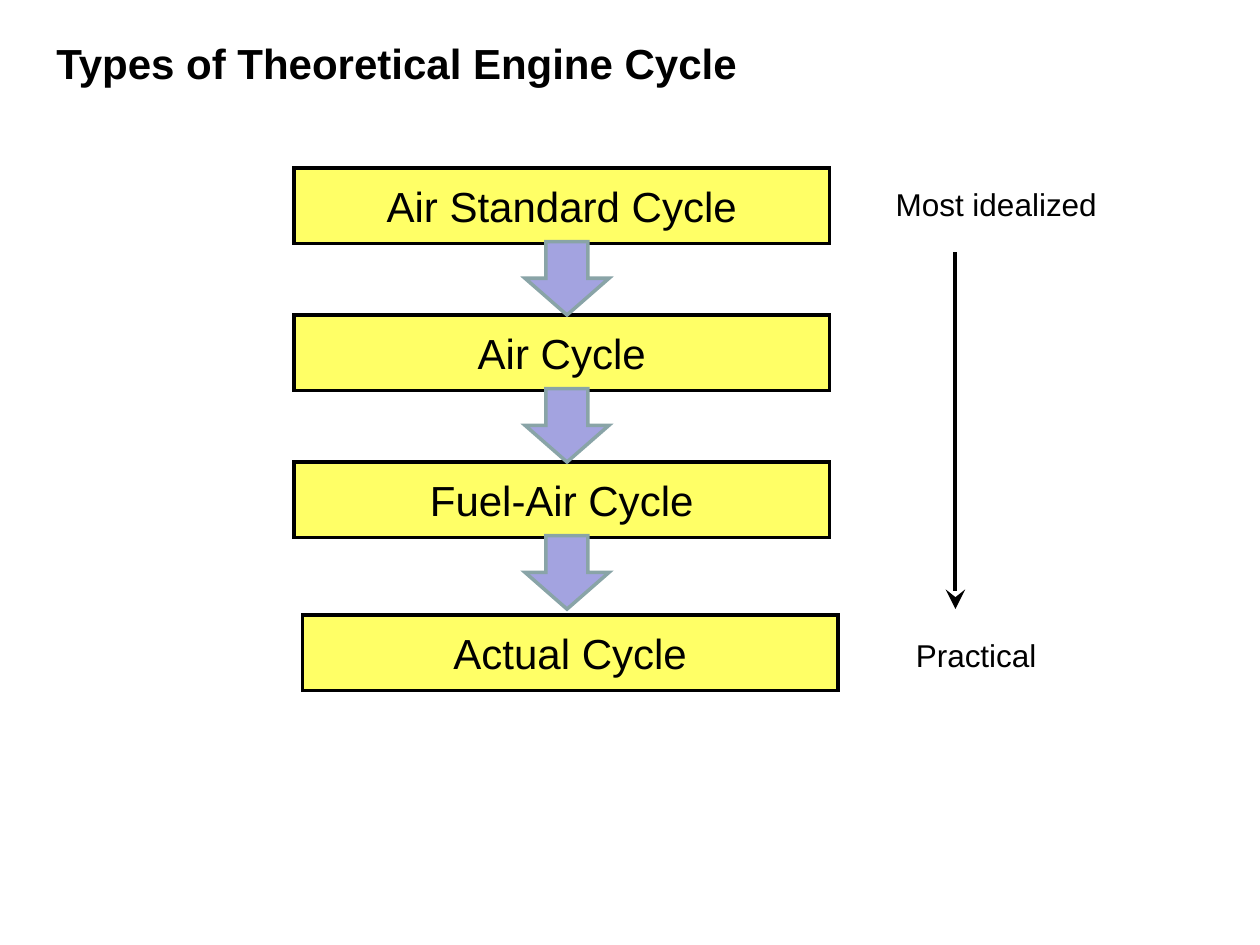
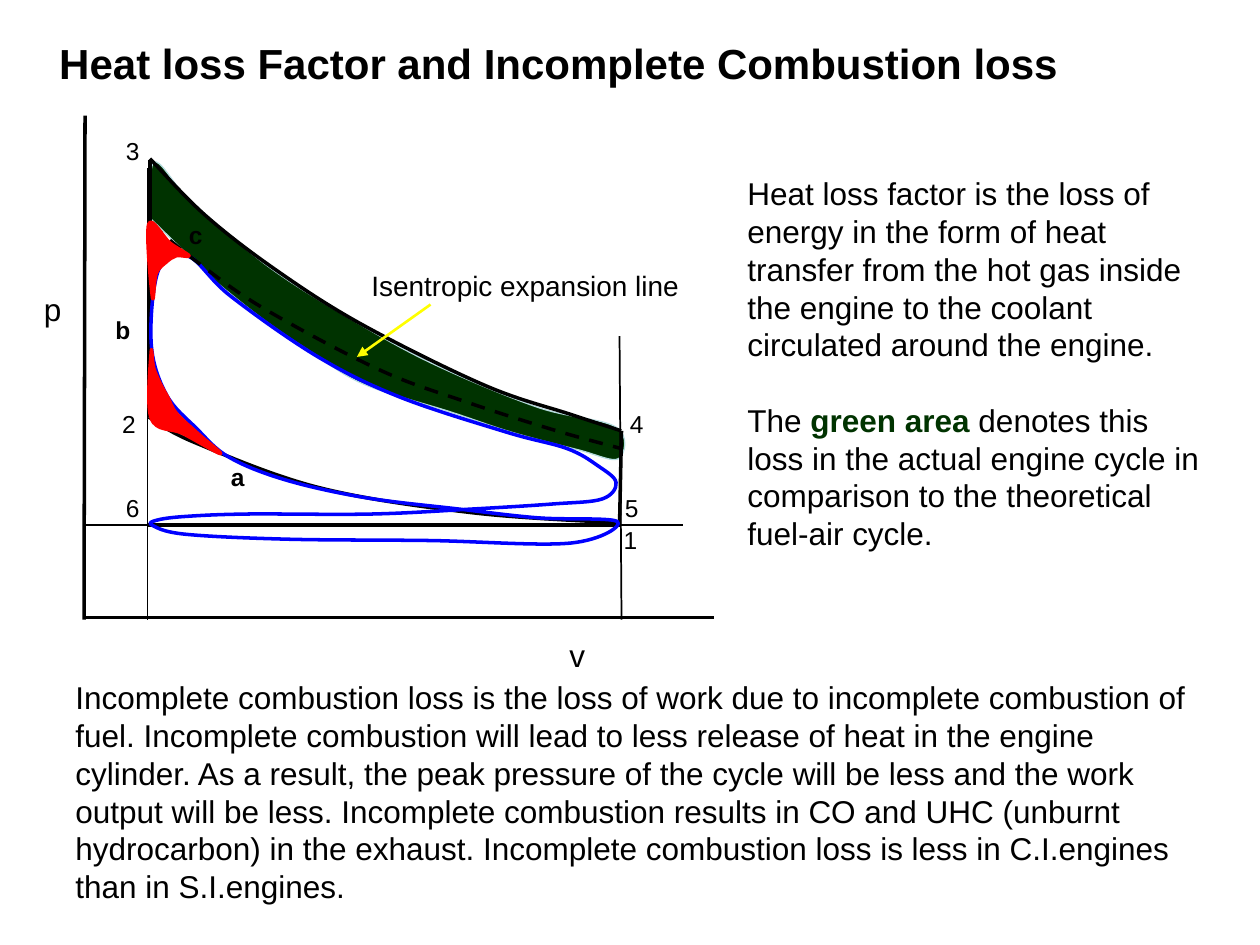
from lxml import etree
from pptx import Presentation
from pptx.dml.color import RGBColor
from pptx.enum.dml import MSO_LINE
from pptx.enum.shapes import MSO_CONNECTOR, MSO_SHAPE
from pptx.enum.text import MSO_ANCHOR, MSO_AUTO_SIZE, PP_ALIGN
from pptx.oxml.ns import qn
from pptx.util import Inches, Pt

RECT, DOWN_ARROW = MSO_SHAPE.RECTANGLE, MSO_SHAPE.DOWN_ARROW
STRAIGHT = MSO_CONNECTOR.STRAIGHT
LEFT, CENTER = PP_ALIGN.LEFT, PP_ALIGN.CENTER
TOP, MIDDLE = MSO_ANCHOR.TOP, MSO_ANCHOR.MIDDLE
NO_AUTOFIT = MSO_AUTO_SIZE.NONE
DASH = MSO_LINE.DASH

COLS, ROWS = 100, 75
TITLE_ONLY = 5
FONT = "Arial"
BLACK, YELLOW, BOX_YELLOW = "000000", "FFFF00", "FFFF66"
GREEN, PALE_GREEN = "003300", "B6DCDF"
LILAC, GREY_TEAL = "A3A3E0", "89A4A7"
RED, BLUE = "FF0000", "0000FF"
BODY_INSETS = (0.1, 0.05, 0.1, 0.05)
BOX_INSETS = (0.1, 0.1, 0.1, 0.1)
LABEL_INSETS = (0, 0, 0.05, 0)


def rgb(code):
    return RGBColor.from_string(code)


def bend(sp, closed):
    """Turn a freeform's straight segments into smooth Bezier ones."""
    pts = [(int(pt.get("x")), int(pt.get("y")))
           for pt in sp._element.iter(qn("a:pt"))]
    before, after = (pts[-2], pts[1]) if closed else (pts[0], pts[-1])
    padded = [before, *pts, after]
    segments = list(sp._element.iter(qn("a:lnTo")))
    for seg, a, b, c, d in zip(segments, padded, padded[1:], padded[2:],
                               padded[3:]):
        leave = [q + (r - p) / 6 for p, q, r in zip(a, b, c)]
        arrive = [q - (r - p) / 6 for p, q, r in zip(b, c, d)]
        cubic = etree.Element(qn("a:cubicBezTo"))
        for x, y in (leave, arrive, c):
            etree.SubElement(cubic, qn("a:pt"), x=str(round(x)),
                             y=str(round(y)))
        seg.getparent().replace(seg, cubic)


def write_text(tf, paragraphs, size=18, bold=False, color=BLACK, align=LEFT,
               anchor=TOP, insets=BODY_INSETS, wrap=False, gap=0):
    """Fill a frame; a paragraph is a string or a list of (text, format) runs."""
    tf.auto_size = NO_AUTOFIT
    tf.word_wrap = wrap
    tf.vertical_anchor = anchor
    (tf.margin_left, tf.margin_top,
     tf.margin_right, tf.margin_bottom) = map(Inches, insets)
    if isinstance(paragraphs, str):
        paragraphs = [paragraphs]
    for i, runs in enumerate(paragraphs):
        p = tf.add_paragraph() if i else tf.paragraphs[0]
        p.alignment = align
        p.space_before = Pt(gap if i else 0)
        for text, style in [(runs, {})] if isinstance(runs, str) else runs:
            r = p.add_run()
            r.text = text
            r.font.name = FONT
            r.font.size = Pt(size)
            r.font.bold = style.get("bold", bold)
            r.font.color.rgb = rgb(style.get("color", color))


class Deck:
    """Holds the style and the current slide; lengths are columns and rows."""

    def __init__(self, prs):
        self.prs = prs
        self.col = prs.slide_width / COLS
        self.row = prs.slide_height / ROWS

    def place(self, *values):
        """Turn alternating columns and rows into lengths."""
        units = (self.col, self.row)
        return [round(v * units[i % 2]) for i, v in enumerate(values)]

    def slide(self, title, left, width):
        self.s = self.prs.slides.add_slide(self.prs.slide_layouts[TITLE_ONLY])
        sp = self.s.shapes.title
        sp.left, sp.top, sp.width, sp.height = self.place(left, 2.5, width, 5)
        write_text(sp.text_frame, title, size=24, bold=True)

    def text(self, box, paragraphs, **style):
        sp = self.s.shapes.add_textbox(*self.place(*box))
        write_text(sp.text_frame, paragraphs, **style)

    def paint(self, sp, fill, line, weight):
        sp.shadow.inherit = False
        if fill:
            sp.fill.solid()
            sp.fill.fore_color.rgb = rgb(fill)
        else:
            sp.fill.background()
        sp.line.color.rgb = rgb(line)
        sp.line.width = Pt(weight)

    def shape(self, kind, box, fill, line=BLACK, text=None):
        sp = self.s.shapes.add_shape(kind, *self.place(*box))
        self.paint(sp, fill, line, 2)
        ln = sp.line._get_or_add_ln()
        etree.SubElement(ln, qn("a:miter"), lim="800000")
        if text:
            write_text(sp.text_frame, text, size=24, align=CENTER,
                       anchor=MIDDLE, insets=BOX_INSETS, wrap=True)

    def line(self, *ends, color=BLACK, weight=2, head=None, head_size="med"):
        sp = self.s.shapes.add_connector(STRAIGHT, *self.place(*ends))
        sp.line.color.rgb = rgb(color)
        sp.line.width = Pt(weight)
        if head:
            ln = sp.line._get_or_add_ln()
            etree.SubElement(ln, qn("a:tailEnd"), type=head, w=head_size,
                             len=head_size)
        etree.SubElement(sp._element.spPr, qn("a:effectLst"))

    def curve(self, knots, fill=None, line=BLACK, weight=2, closed=False,
              dash=None):
        points = [self.place(*knot) for knot in knots]
        if closed:
            points.append(points[0])
        builder = self.s.shapes.build_freeform(*points[0], scale=1.0)
        builder.add_line_segments(points[1:], close=closed)
        sp = builder.convert_to_shape()
        bend(sp, closed)
        self.paint(sp, fill, line, weight)
        if dash:
            sp.line.dash_style = dash


def cycle_types(deck):
    deck.slide("Types of Theoretical Engine Cycle", 3.47, 58)
    first, pitch = 13.33, 11.67
    cycles = ["Air Standard Cycle", "Air Cycle", "Fuel-Air Cycle"]
    for i, cycle in enumerate(cycles):
        deck.shape(RECT, (23.33, first + i * pitch, 42.5, 6), BOX_YELLOW,
                   text=cycle)
    deck.shape(RECT, (24, 48.8, 42.5, 6), BOX_YELLOW, text="Actual Cycle")
    for i in range(len(cycles)):
        deck.shape(DOWN_ARROW, (41.67, 19.17 + i * pitch, 6.67, 5.83), LILAC,
                   GREY_TEAL)
    deck.text((70.1, 14.2, 18, 4), "Most idealized")
    deck.text((71.7, 50, 11.6, 4), "Practical")
    deck.line(75.83, 20, 75.83, 48.33, weight=2.25, head="stealth",
              head_size="lg")


HEAT_LOSS = [
    (11.8, 17.2), (15.4, 20.7), (17.3, 22.5), (21.1, 25.5), (24.8, 28),
    (28.9, 30.5), (35.8, 32.7), (40.6, 34.3), (45.9, 35.7), (49.1, 36.4),
    (48.9, 33.9), (42.6, 32.3), (34, 28.7), (26.8, 24.7), (21.5, 21.3),
    (17.1, 17.7), (14.6, 15.4), (12.2, 12.9), (11.9, 18)]
COMPRESSION = [
    (49.1, 41.5), (37.5, 40.7), (25.3, 38.7), (15.4, 35.1), (11.8, 33.1)]
EXPANSION = [
    (11.9, 12.6), (16.3, 17.1), (22, 21.5), (28.8, 25.8), (38.5, 30.6),
    (45.3, 32.9), (49.3, 34.2)]
ACTUAL_CYCLE = [
    (49, 41.4), (42.7, 41.1), (36.4, 40.4), (29, 39.5), (22.7, 38.1),
    (18.2, 36.3), (15.6, 34), (13.2, 31.3), (12, 27.2), (12.6, 21.4),
    (14.9, 20.3), (18.3, 23.5), (25.2, 28.3), (31.7, 31.5), (40.2, 34.3),
    (45, 35.6), (47.5, 37), (48.9, 38.3), (47.8, 39.6), (43.9, 40),
    (37.5, 40.4), (29.5, 40.8), (19.6, 40.8), (14.6, 41), (12.4, 41.3),
    (12.1, 41.7), (14.7, 42.4), (22.9, 42.8), (34, 42.9), (45.3, 43.1)]
ISENTROPIC = [
    (12, 17.8), (15.4, 20.6), (20.8, 24.4), (30, 29.3), (37, 31.9),
    (44.2, 34.2), (49.3, 35.6)]
LOSS_NEAR_A = [
    (17.5, 36), (15.7, 34.4), (14, 32.8), (13.3, 31.5), (12.7, 30.4),
    (12.2, 29.2), (12, 27.9), (12, 33.2), (14.5, 34.4)]
LOSS_NEAR_C = [
    (12.1, 23.6), (12.4, 21.7), (13.2, 20.8), (14, 20.3), (15, 20.3),
    (13.5, 19.3), (11.8, 17.8)]


def pressure_volume_diagram(deck):
    deck.curve(HEAT_LOSS, fill=GREEN, line=PALE_GREEN, weight=0.75)
    deck.line(6.75, 9.17, 6.67, 49.17)
    deck.line(6.75, 49, 56.67, 49)
    for guide in [(6.75, 41.67, 54.17, 41.67), (11.72, 49.17, 11.72, 13.33),
                  (49.33, 49.17, 49.17, 26.67)]:
        deck.line(*guide, weight=1)

    deck.curve(COMPRESSION)
    deck.line(11.9, 33.1, 11.9, 12.7)
    deck.curve(EXPANSION)
    deck.line(49.33, 34.2, 49.17, 41.67)
    deck.line(49.17, 41.67, 11.67, 41.67)
    deck.curve(ACTUAL_CYCLE, line=BLUE, closed=True)
    deck.curve(ISENTROPIC, dash=DASH)
    for loss in (LOSS_NEAR_A, LOSS_NEAR_C):
        deck.curve(loss, fill=RED, line=RED, closed=True)

    for name, left, top in [
            ("4", 50, 32.5), ("1", 49.5, 41.67), ("2", 9.7, 32.5),
            ("3", 10, 10.83), ("5", 49.6, 39.17), ("6", 10, 39.17),
            ("a", 18.33, 36.67), ("b", 9.17, 25), ("c", 15, 17.5)]:
        deck.text((left, top, 1.6, 2.3), name, size=14, bold=name.isalpha(),
                  insets=LABEL_INSETS)
    deck.text((2.5, 22.5, 3.4, 4), "p")
    deck.text((44.2, 50, 3.2, 4), "v")
    deck.text((28.5, 20.83, 26.4, 3.7), "Isentropic expansion line", size=16)
    deck.line(34.17, 24.17, 28.33, 28.33, color=YELLOW, weight=1.5,
              head="triangle")


def loss_factors(deck):
    deck.slide("Heat loss Factor and Incomplete Combustion loss", 3.7, 85)
    pressure_volume_diagram(deck)
    deck.text((58.33, 13.33, 38.33, 31), [
        "Heat loss factor is the loss of energy in the form of heat transfer "
        "from the hot gas inside the engine to the coolant circulated around "
        "the engine.",
        [("The ", {}),
         ("green area ", {"bold": True, "color": GREEN}),
         ("denotes this loss in the actual engine cycle in comparison to the "
          "theoretical fuel-air cycle.", {})],
    ], wrap=True, gap=21.5)
    deck.text((5, 53.33, 90.83, 19),
              "Incomplete combustion loss is the loss of work due to "
              "incomplete combustion of fuel. Incomplete combustion will lead "
              "to less release of heat in the engine cylinder. As a result, "
              "the peak pressure of the cycle will be less and the work "
              "output will be less. Incomplete combustion results in CO and "
              "UHC (unburnt hydrocarbon) in the exhaust. Incomplete "
              "combustion loss is less in C.I.engines than in S.I.engines.",
              wrap=True)


def main():
    prs = Presentation()
    prs.slide_width, prs.slide_height = Inches(10), Inches(7.5)
    deck = Deck(prs)
    cycle_types(deck)
    loss_factors(deck)
    prs.save("out.pptx")


if __name__ == "__main__":
    main()
